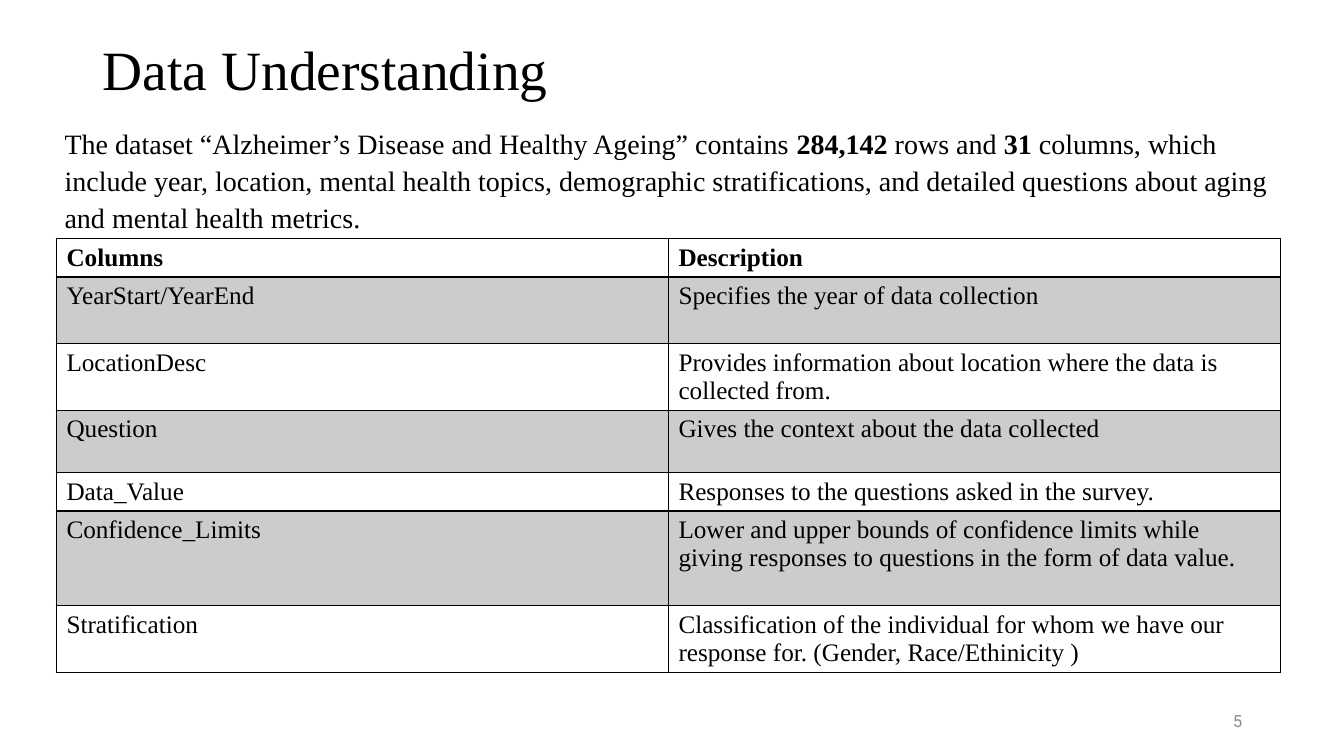
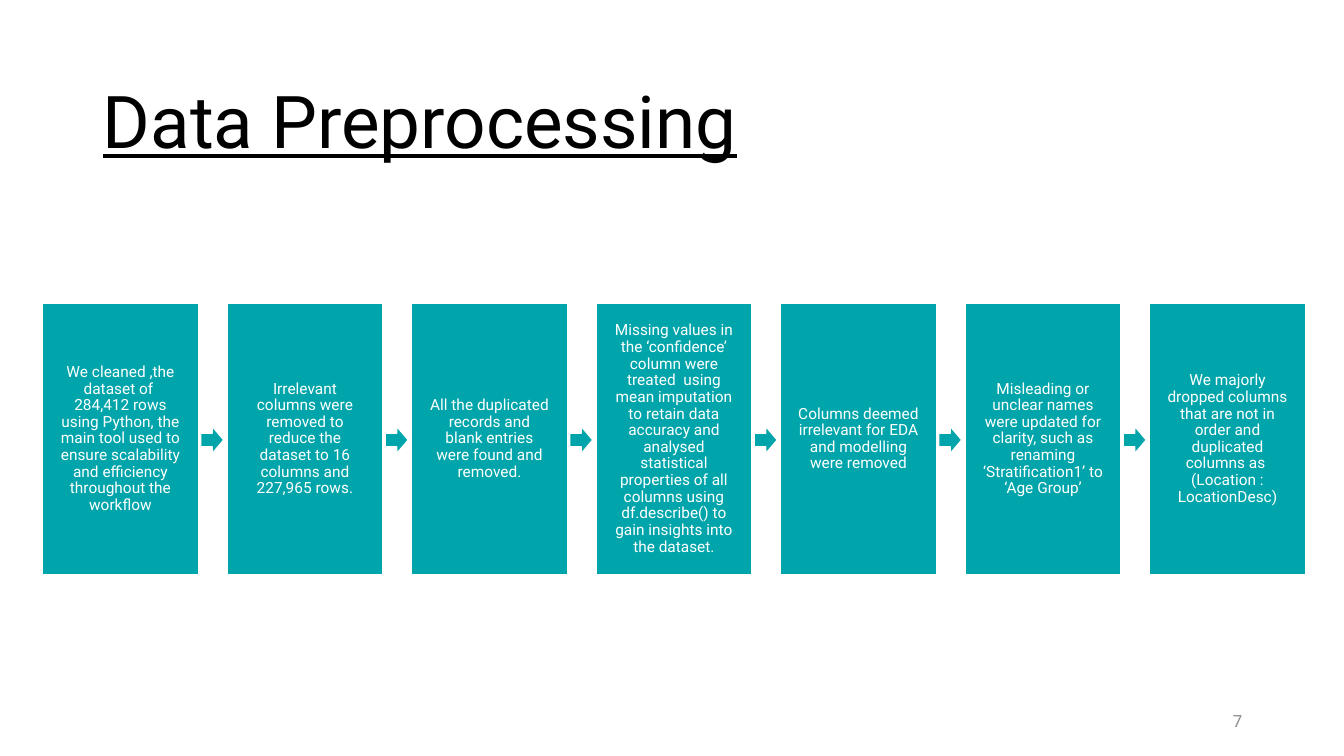
from dataclasses import dataclass

from lxml.etree import SubElement
from pptx import Presentation
from pptx.dml.color import RGBColor
from pptx.enum.shapes import MSO_SHAPE
from pptx.enum.text import MSO_ANCHOR, MSO_AUTO_SIZE, PP_ALIGN
from pptx.oxml.ns import qn
from pptx.util import Inches, Pt

COLORS = {"text": "000000", "white": "FFFFFF", "band": "CCCCCC", "teal": "00A5AB", "number": "8C8C8C"}
SERIF = "Times New Roman"
SANS = "Roboto"
SLIDE_W, SLIDE_H = 13.33, 7.5


@dataclass(frozen=True)
class Box:
    left: float
    top: float
    width: float
    height: float

    def lengths(self):
        return [Inches(v) for v in (self.left, self.top, self.width, self.height)]


@dataclass(frozen=True)
class Style:
    font: str
    size: float
    color: str = "text"
    bold: bool = False
    underline: bool = False


@dataclass(frozen=True)
class Column:
    name: str
    description: str
    height: float


COLUMNS = [
    Column("Columns", "Description", 0.38),
    Column("YearStart/YearEnd", "Specifies the year of data collection", 0.66),
    Column("LocationDesc", "Provides information about location where the data is collected from.", 0.66),
    Column("Question", "Gives the context about the data collected", 0.62),
    Column("Data_Value", "Responses to the questions asked in the survey.", 0.38),
    Column("Confidence_Limits", "Lower and upper bounds of confidence limits while giving responses "
           "to questions in the form of data value.", 0.94),
    Column("Stratification", "Classification of the individual for whom we have our response for. "
           "(Gender, Race/Ethinicity )", 0.66),
]

INTRO = [
    ("The dataset “Alzheimer’s Disease and Healthy Ageing” contains ", False),
    ("284,142", True),
    (" rows and ", False),
    ("31 ", True),
    ("columns, which include year, location, mental health topics, demographic stratifications, "
     "and detailed questions about aging and mental health metrics.", False),
]

STEPS = [
    "We cleaned ,the dataset of  284,412 rows using Python, the main tool used to ensure "
    "scalability and efficiency throughout the workflow",
    "Irrelevant columns were removed to reduce the dataset to 16 columns and 227,965 rows.",
    "All the duplicated records and blank entries were found and removed.",
    "Missing values in the ‘confidence’ column were treated  using mean imputation to retain data "
    "accuracy and analysed statistical properties of all columns using df.describe() to gain "
    "insights into the dataset.",
    "Columns deemed irrelevant for EDA and modelling were removed",
    "Misleading or unclear names were updated for clarity, such as renaming ‘Stratification1’ to ‘Age Group’",
    "We majorly dropped columns that are not in order and duplicated columns as  (Location : LocationDesc)",
]
FIRST_STEP = Box(0.42, 3.01, 1.55, 2.69)
STEP_PITCH = 1.83
ARROW = Box(1.99, 4.23, 0.23, 0.27)


def rgb(name: str) -> RGBColor:
    return RGBColor.from_string(COLORS[name])


def add_run(p, text: str, style: Style) -> None:
    r = p.add_run()
    r.text = text
    f = r.font
    f.name, f.size = style.font, Pt(style.size)
    f.bold, f.underline = style.bold, style.underline
    f.color.rgb = rgb(style.color)


def place(sp, box: Box) -> None:
    sp.left, sp.top, sp.width, sp.height = box.lengths()


def set_frame(tf) -> None:
    tf.word_wrap = True
    tf.auto_size = MSO_AUTO_SIZE.NONE
    tf.vertical_anchor = MSO_ANCHOR.MIDDLE


def add_slide(prs, layout: int, title: str, box: Box, style: Style, number: str):
    """Add a slide with its title and page number."""
    s = prs.slides.add_slide(prs.slide_layouts[layout])
    place(s.shapes.title, box)
    tf = s.shapes.title.text_frame
    set_frame(tf)
    p = tf.paragraphs[0]
    p.alignment, p.line_spacing = PP_ALIGN.LEFT, 0.9
    add_run(p, title, style)

    tf = s.shapes.add_textbox(*Box(9.42, 6.95, 3, 0.4).lengths()).text_frame
    set_frame(tf)
    p = tf.paragraphs[0]
    p.alignment = PP_ALIGN.RIGHT
    add_run(p, number, Style(SANS, 12, "number"))
    return s


def set_borders(cell, bottom: float, top: float) -> None:
    tc_pr = cell._tc.get_or_add_tcPr()
    widths = {"a:lnL": 1, "a:lnR": 1, "a:lnT": top, "a:lnB": bottom}
    for i, (tag, width) in enumerate(widths.items()):
        ln = SubElement(tc_pr, qn(tag), w=str(Pt(width)))
        fill = SubElement(ln, qn("a:solidFill"))
        SubElement(fill, qn("a:srgbClr"), val=COLORS["text"])
        tc_pr.insert(i, ln)


def add_intro(s) -> None:
    body = s.placeholders[1]
    place(body, Box(0.54, 1.17, 12.15, 1.2))
    set_frame(body.text_frame)
    p = body.text_frame.paragraphs[0]
    p.line_spacing, p.space_before = 1.1, Pt(0)
    p_pr = p._p.get_or_add_pPr()
    p_pr.set("marL", "0")
    p_pr.set("indent", "0")
    SubElement(p_pr, qn("a:buNone"))
    for text, bold in INTRO:
        add_run(p, text, Style(SERIF, 20, bold=bold))


def add_column_table(s) -> None:
    height = sum(c.height for c in COLUMNS)
    table = s.shapes.add_table(len(COLUMNS), 2, *Box(0.56, 2.37, 12.14, height).lengths()).table
    table.horz_banding = False
    for i, column in enumerate(COLUMNS):
        table.rows[i].height = Inches(column.height)
        for j, text in enumerate((column.name, column.description)):
            cell = table.cell(i, j)
            cell.fill.solid()
            cell.fill.fore_color.rgb = rgb("band" if i % 2 else "white")
            set_borders(cell, bottom=2 if i == 0 else 1, top=2 if i == 1 else 1)
            add_run(cell.text_frame.paragraphs[0], text, Style(SERIF, 18, bold=i == 0))


def add_teal_shape(s, kind: MSO_SHAPE, box: Box):
    sp = s.shapes.add_shape(kind, *box.lengths())
    sp.shadow.inherit = False
    sp.fill.solid()
    sp.fill.fore_color.rgb = rgb("teal")
    sp.line.color.rgb = rgb("white")
    sp.line.width = Pt(1)
    return sp


def add_step(s, index: int, text: str) -> None:
    """Draw one step and, unless it is the last, the arrow to the next."""
    shift = index * STEP_PITCH
    b = FIRST_STEP
    sp = add_teal_shape(s, MSO_SHAPE.RECTANGLE, Box(b.left + shift, b.top, b.width, b.height))
    tf = sp.text_frame
    set_frame(tf)
    tf.margin_left = tf.margin_right = tf.margin_top = tf.margin_bottom = Inches(0.17)
    p = tf.paragraphs[0]
    p.alignment, p.line_spacing = PP_ALIGN.CENTER, 0.9
    add_run(p, text, Style(SANS, 11, "white"))
    if index < len(STEPS) - 1:
        a = ARROW
        add_teal_shape(s, MSO_SHAPE.RIGHT_ARROW, Box(a.left + shift, a.top, a.width, a.height))


def main() -> None:
    prs = Presentation()
    prs.slide_width, prs.slide_height = Inches(SLIDE_W), Inches(SLIDE_H)

    s = add_slide(prs, 1, "Data Understanding", Box(0.92, 0.4, 11.5, 0.63), Style(SERIF, 39.6), "5")
    add_intro(s)
    add_column_table(s)

    s = add_slide(prs, 5, "Data Preprocessing", Box(0.92, 0.62, 11.5, 1.24),
                  Style(SANS, 52, underline=True), "7")
    for i, text in enumerate(STEPS):
        add_step(s, i, text)

    prs.save("out.pptx")


if __name__ == "__main__":
    main()
